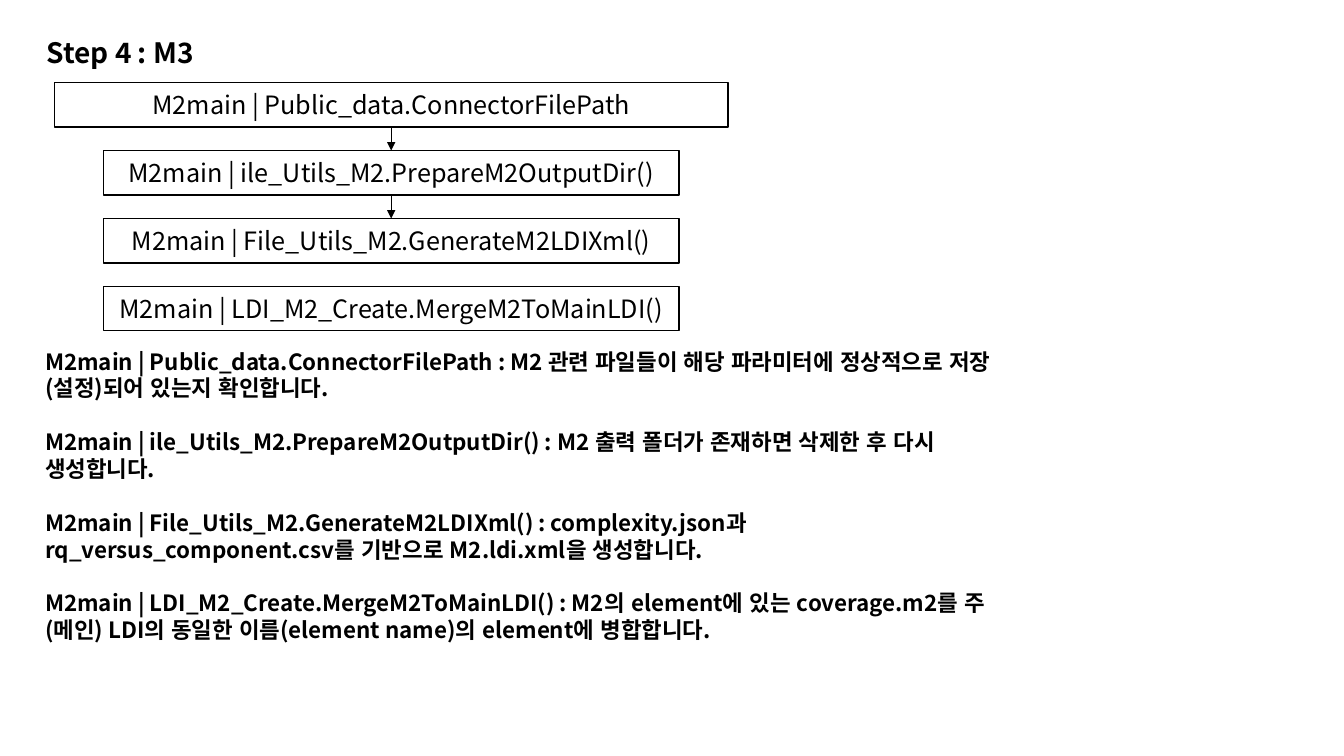
import pptx
import pptx.util
import pptx.dml.color
import pptx.enum.lang
import pptx.enum.shapes
import pptx.enum.text
import pptx.oxml

COLORS = {"ink": "000000"}
FONT_BOLD = "Noto Sans CJK KR"
FONT_BOX = "Noto Sans CJK SC"
LINE_RATIO = 1.2  # line pitch as a share of the text size

# Flow grid, in inches
CENTER_X = 3.88
ROW_TOP, ROW_PITCH, ROW_HEIGHT = 0.82, 0.674, 0.44
WIDE, NARROW = 6.68, 5.71

# Step call, box width, explanation
STEPS = [
    ("M2main | Public_data.ConnectorFilePath", WIDE,
     "M2 관련 파일들이 해당 파라미터에 정상적으로 저장(설정)되어 있는지 확인합니다."),
    ("M2main | ile_Utils_M2.PrepareM2OutputDir()", NARROW,
     "M2 출력 폴더가 존재하면 삭제한 후 다시 생성합니다."),
    ("M2main | File_Utils_M2.GenerateM2LDIXml()", NARROW,
     "complexity.json과 rq_versus_component.csv를 기반으로 M2.ldi.xml을 생성합니다."),
    ("M2main | LDI_M2_Create.MergeM2ToMainLDI()", NARROW,
     "M2의 element에 있는 coverage.m2를 주(메인) LDI의 동일한 이름(element name)의 "
     "element에 병합합니다."),
]
ARROW_ROWS = (0, 1)


def inches(*values):
    return [pptx.util.Inches(v) for v in values]


def rgb(name):
    return pptx.dml.color.RGBColor.from_string(COLORS[name])


def add_xml(parent, tag, **attrs):
    el = pptx.oxml.parse_xml(
        '<a:%s xmlns:a="http://schemas.openxmlformats.org/drawingml/2006/main"/>' % tag)
    for key, value in attrs.items():
        el.set(key, value)
    parent.append(el)


def write_text(tf, paragraphs, size, font, bold=False, align="LEFT", anchor="TOP",
               gap=0, grow=False):
    sizing = pptx.enum.text.MSO_AUTO_SIZE
    tf.word_wrap = True
    tf.auto_size = sizing.SHAPE_TO_FIT_TEXT if grow else sizing.NONE
    tf.vertical_anchor = getattr(pptx.enum.text.MSO_ANCHOR, anchor)
    for i, text in enumerate(paragraphs):
        p = tf.paragraphs[0] if i == 0 else tf.add_paragraph()
        p.alignment = getattr(pptx.enum.text.PP_ALIGN, align)
        p.line_spacing = pptx.util.Pt(size * LINE_RATIO)
        p.space_before = pptx.util.Pt(gap if i else 0)
        r = p.add_run()
        r.text = text
        r.font.size = pptx.util.Pt(size)
        r.font.bold = bold
        r.font.color.rgb = rgb("ink")
        r.font.language_id = pptx.enum.lang.MSO_LANGUAGE_ID.KOREAN
        r.font.name = font
        add_xml(r.font._element, "ea", typeface=font)


def add_title(s, text):
    sp = s.shapes.title
    sp.left, sp.top, sp.width, sp.height = inches(0.36, 0.3, 4.02, 0.44)
    write_text(sp.text_frame, [text], 20, FONT_BOLD, bold=True, grow=True)


def row_top(row):
    return ROW_TOP + row * ROW_PITCH


def add_step(s, row, text, width):
    sp = s.shapes.add_shape(
        pptx.enum.shapes.MSO_SHAPE.RECTANGLE,
        *inches(CENTER_X - width / 2, row_top(row), width, ROW_HEIGHT))
    sp.shadow.inherit = False
    sp.fill.background()
    sp.line.color.rgb = rgb("ink")
    sp.line.width = pptx.util.Pt(1)
    write_text(sp.text_frame, [text], 18, FONT_BOX, align="CENTER", anchor="MIDDLE")


def add_arrow(s, row):
    line = s.shapes.add_connector(
        pptx.enum.shapes.MSO_CONNECTOR.STRAIGHT,
        *inches(CENTER_X, row_top(row) + ROW_HEIGHT, CENTER_X, row_top(row + 1)))
    line.line.color.rgb = rgb("ink")
    line.line.width = pptx.util.Pt(1)
    add_xml(line.line._get_or_add_ln(), "tailEnd", type="triangle")
    add_xml(line._element.spPr, "effectLst")


def add_notes_text(s, paragraphs):
    sp = s.shapes.add_textbox(*inches(0.35, 3.4, 9.97, 3.4))
    write_text(sp.text_frame, paragraphs, 16, FONT_BOLD, bold=True,
               gap=16 * LINE_RATIO, grow=True)


def main():
    prs = pptx.Presentation()
    prs.slide_width, prs.slide_height = inches(13.33, 7.5)
    s = prs.slides.add_slide(prs.slide_layouts.get_by_name("Title Only"))

    add_title(s, "Step 4 : M3")

    # Flow of calls
    for row, (call, width, _) in enumerate(STEPS):
        add_step(s, row, call, width)
    for row in ARROW_ROWS:
        add_arrow(s, row)

    # Explanation of each call
    add_notes_text(s, [f"{call} : {meaning}" for call, _, meaning in STEPS])

    prs.save("out.pptx")


if __name__ == "__main__":
    main()
